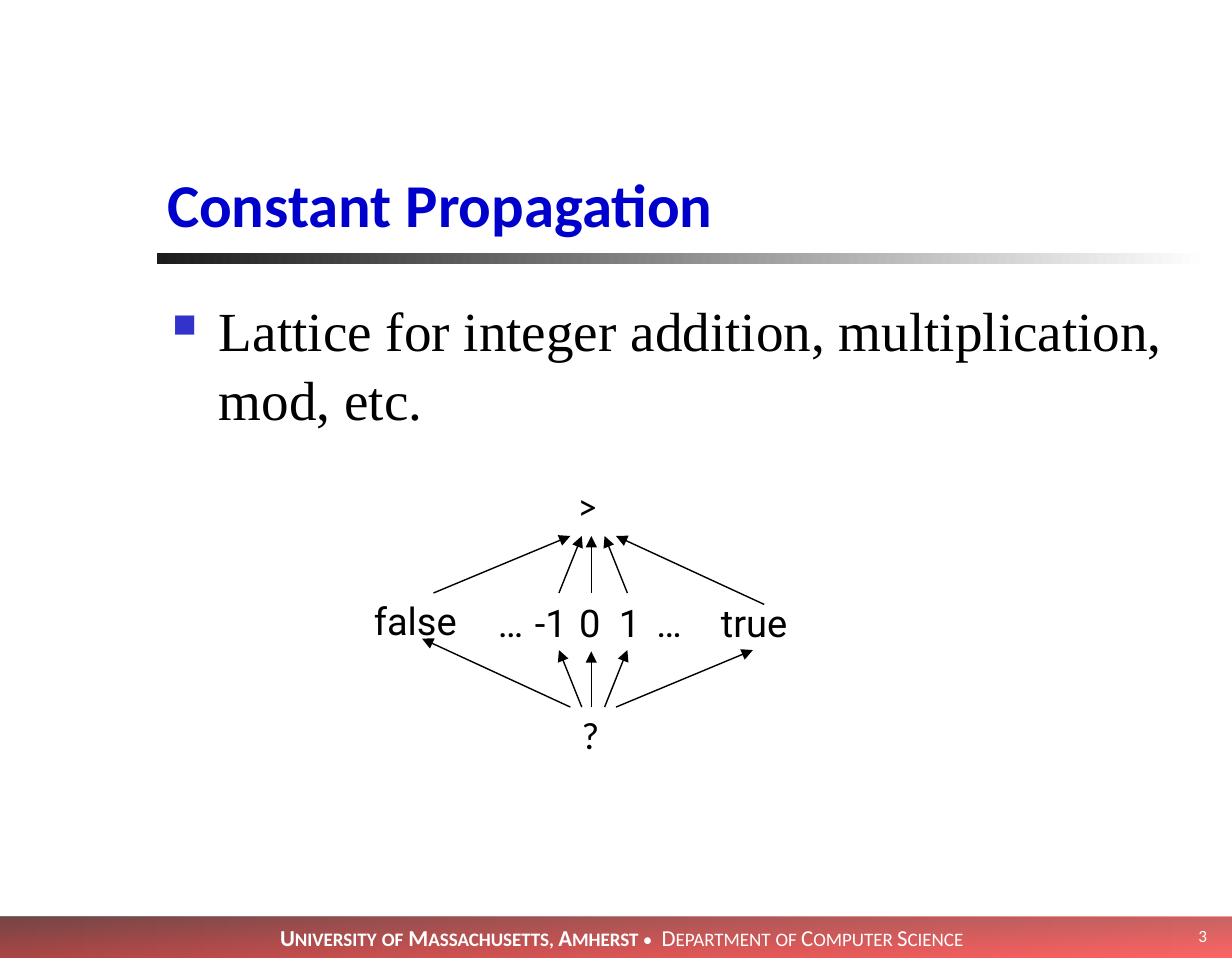
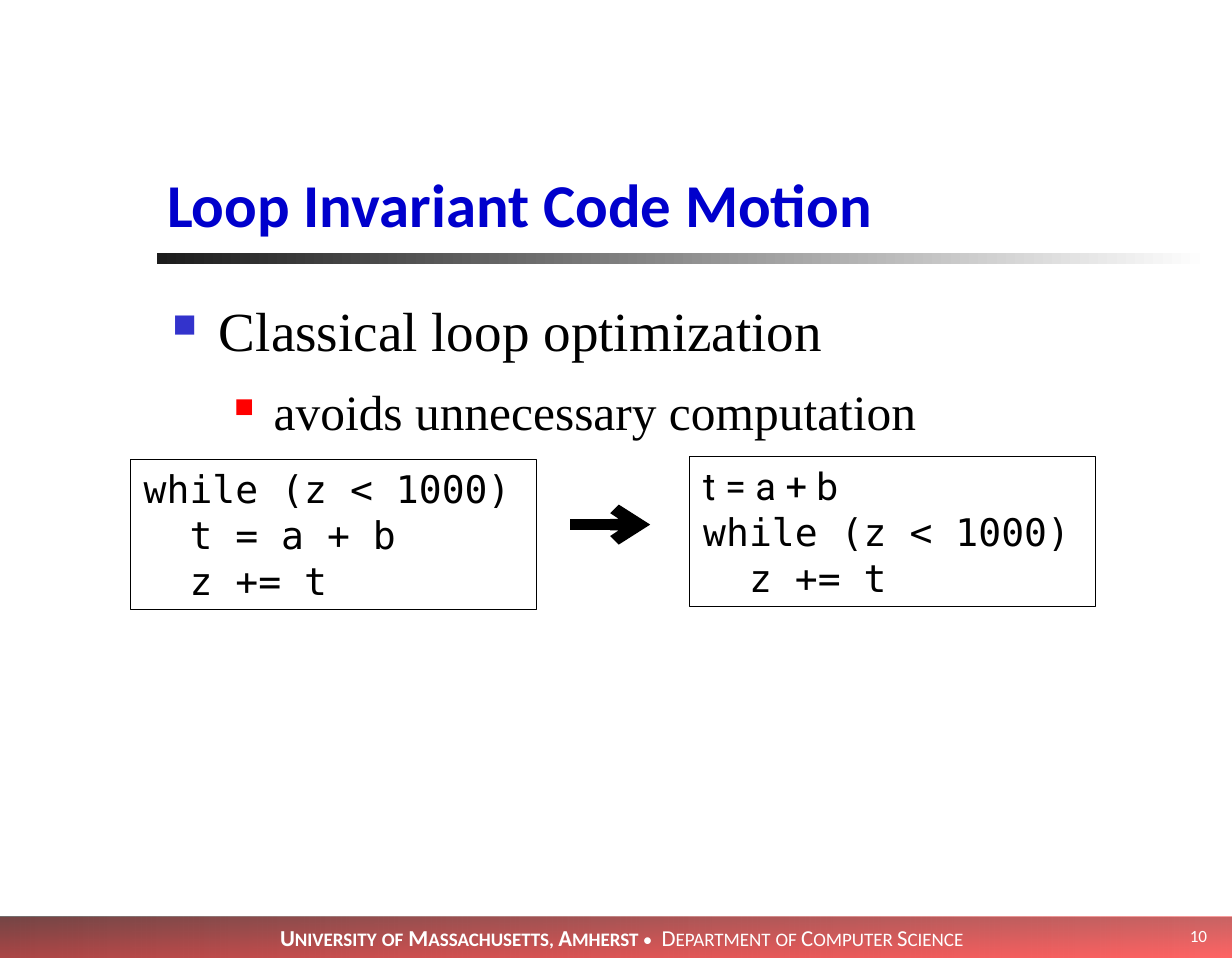
from itertools import cycle

from lxml import etree
from pptx import Presentation
from pptx.dml.color import RGBColor
from pptx.enum.shapes import MSO_CONNECTOR, MSO_SHAPE
from pptx.enum.text import MSO_ANCHOR, PP_ALIGN
from pptx.oxml.ns import qn
from pptx.util import Pt

RECTANGLE = MSO_SHAPE.RECTANGLE
STRAIGHT = MSO_CONNECTOR.STRAIGHT
TOP, MIDDLE, BOTTOM = MSO_ANCHOR.TOP, MSO_ANCHOR.MIDDLE, MSO_ANCHOR.BOTTOM
LEFT, CENTER, RIGHT = PP_ALIGN.LEFT, PP_ALIGN.CENTER, PP_ALIGN.RIGHT

BLACK = RGBColor(0x00, 0x00, 0x00)
WHITE = RGBColor(0xFF, 0xFF, 0xFF)
CHARCOAL = RGBColor(0x1C, 0x1C, 0x1C)
RED = RGBColor(0xFF, 0x00, 0x00)
MAROON = RGBColor(0x76, 0x00, 0x00)
TITLE_BLUE = RGBColor(0x00, 0x00, 0xCC)
BULLET_BLUE = RGBColor(0x33, 0x33, 0xCC)

HEADING_FONT = "Calibri"
BODY_FONT = "Times New Roman"
LABEL_FONT = "Roboto"
CODE_FONT = "DejaVu Sans Mono"

BULLET_LEVELS = [
    (29, 24.5, 24.5, 0, BULLET_BLUE, 60),
    (26, 53.3, 20.9, 8.5, RED, 55),
]
UNIVERSITY = ["U", "NIVERSITY", " ", "OF", " M", "ASSACHUSETTS, ", "A", "MHERST"]
DEPARTMENT = [" • ", " D", "EPARTMENT", " ", "OF ", "C", "OMPUTER ", "S", "CIENCE"]
FOOTER_PARTS = [
    (UNIVERSITY, (12, 10), True),
    (DEPARTMENT[:1], (10,), False),
    (DEPARTMENT[1:], (12, 10), False),
]


def add_element(parent, tag, **attributes):
    return etree.SubElement(parent, qn(tag), attributes)


class Lecture:
    def __init__(self):
        self.deck = Presentation()
        self.deck.slide_width = Pt(648)
        self.deck.slide_height = Pt(504)
        self.page = None

    def add_page(self, title, number):
        self.page = self.deck.slides.add_slide(self.deck.slide_layouts[6])
        self.band((0, 482.4, 648, 23.8), [(RED, 35), (BLACK, 55)], 180)
        self.band((82.8, 133.2, 553, 5.8), [(WHITE, 100), (CHARCOAL, 100)], 180)
        self.footer()
        self.text((81.4, 45.4, 552.2, 84.2), title, HEADING_FONT, 32, TITLE_BLUE,
                  bold=True, anchor=BOTTOM, inset=6.5)
        self.text((594, 480.2, 48, 24), number, HEADING_FONT, 9, WHITE,
                  align=RIGHT, anchor=MIDDLE)

    def shape(self, place):
        box = self.page.shapes.add_shape(RECTANGLE, *map(Pt, place))
        box.shadow.inherit = False
        return box

    def band(self, place, stops, angle):
        box = self.shape(place)
        box.line.fill.background()
        box.fill.gradient()
        box.fill.gradient_angle = angle
        for stop, (color, opacity) in zip(box.fill.gradient_stops, stops):
            stop.color.rgb = color
        for node, (color, opacity) in zip(box.element.iter(qn("a:srgbClr")), stops):
            if opacity < 100:
                add_element(node, "a:alpha", val=str(opacity * 1000))
        return box

    def footer(self):
        box = self.band((0, 482.4, 654, 21.6), [(MAROON, 40), (RED, 40)], 270)
        box.text_frame.vertical_anchor = TOP
        para = box.text_frame.paragraphs[0]
        para.alignment = CENTER
        for words, sizes, bold in FOOTER_PARTS:
            for word, size in zip(words, cycle(sizes)):
                span = para.add_run()
                span.text = word
                self.style(span.font, HEADING_FONT, size, WHITE, bold)

    def style(self, font, name, size, color, bold=False):
        font.name = name
        font.size = Pt(size)
        font.color.rgb = color
        font.bold = bold

    def text(self, place, words, font, size, color=BLACK, bold=False,
             align=LEFT, anchor=TOP, inset=7.2, wrap=True):
        box = self.page.shapes.add_textbox(*map(Pt, place))
        frame = box.text_frame
        frame.word_wrap = wrap
        frame.vertical_anchor = anchor
        frame.margin_left = frame.margin_right = Pt(inset)
        frame.text = words
        para = frame.paragraphs[0]
        para.alignment = align
        self.style(para.runs[0].font, font, size, color, bold)

    def label(self, words, center, top, width, font=LABEL_FONT):
        place = (center - width / 2, top, width, 31.5)
        self.text(place, words, font, 20, align=CENTER, wrap=False)

    def bullets(self, *items):
        box = self.page.shapes.add_textbox(Pt(84.2), Pt(151), Pt(550.8), Pt(90))
        frame = box.text_frame
        frame.word_wrap = True
        frame.margin_left = frame.margin_right = Pt(6.5)
        frame.text = "\n".join(items)
        for level, para in enumerate(frame.paragraphs):
            size, margin, hanging, before, color, percent = BULLET_LEVELS[level]
            para.level = level
            para.line_spacing = 1.04
            para.space_before = Pt(before)
            properties = para._p.get_or_add_pPr()
            properties.set("marL", str(Pt(margin)))
            properties.set("indent", str(-Pt(hanging)))
            tint = add_element(properties, "a:buClr")
            add_element(tint, "a:srgbClr", val=str(color))
            add_element(properties, "a:buSzPct", val=str(percent * 1000))
            add_element(properties, "a:buChar", char="■")
            self.style(para.runs[0].font, BODY_FONT, size, BLACK)

    def code(self, place, lines):
        box = self.shape(place)
        box.fill.background()
        box.line.color.rgb = BLACK
        box.line.width = Pt(0.25)
        frame = box.text_frame
        frame.vertical_anchor = TOP
        frame.text = "\n".join(words for words, font in lines)
        for para, (words, font) in zip(frame.paragraphs, lines):
            para.alignment = LEFT
            self.style(para.runs[0].font, font, 20, BLACK)

    def arrow(self, start, end, width=0.75, head="triangle"):
        line = self.page.shapes.add_connector(STRAIGHT, *map(Pt, (*start, *end)))
        line.line.color.rgb = BLACK
        line.line.width = Pt(width)
        add_element(line.line._get_or_add_ln(), "a:tailEnd", type=head)
        add_element(line.element.spPr, "a:effectLst")


def constant_propagation(lecture):
    lecture.add_page("Constant Propagation", "3")
    lecture.bullets("Lattice for integer addition, multiplication, mod, etc.")
    lecture.label(">", 308.9, 250.5, 26, HEADING_FONT)
    lecture.label("false", 218.5, 311, 58)
    values = [("…", 268.6, 30), ("-1", 289.8, 32), ("0", 310.3, 26),
              ("1", 331.2, 26), ("…", 352, 30), ("true", 396.7, 53)]
    for words, center, width in values:
        lecture.label(words, center, 311.8, width)
    lecture.label("?", 310.3, 370.8, 23, HEADING_FONT)
    hubs = [300, 306, 311, 318, 324]
    upper_ends = [(228, 312), (294, 312), (311, 312), (330, 312), (402, 318)]
    lower_ends = [(222, 336), (294, 342), (311, 342.7), (330, 342), (396, 342)]
    for hub, upper, lower in zip(hubs, upper_ends, lower_ends):
        lecture.arrow(upper, (hub, 282))
        lecture.arrow((hub, 372), lower)


def loop_invariant_code_motion(lecture):
    lecture.add_page("Loop Invariant Code Motion", "10")
    lecture.bullets("Classical loop optimization", "avoids unnecessary computation")
    loop = ("while (z < 1000)", CODE_FONT)
    step = ("  z += t", CODE_FONT)
    lecture.code((68.5, 241.5, 213.5, 79.2), [loop, ("  t = a + b", CODE_FONT), step])
    lecture.code((362.8, 240, 213.5, 79.2), [("t = a + b", LABEL_FONT), loop, step])
    lecture.arrow((300, 276), (342, 276), 6, "arrow")


def main():
    lecture = Lecture()
    constant_propagation(lecture)
    loop_invariant_code_motion(lecture)
    lecture.deck.save("out.pptx")


if __name__ == "__main__":
    main()
